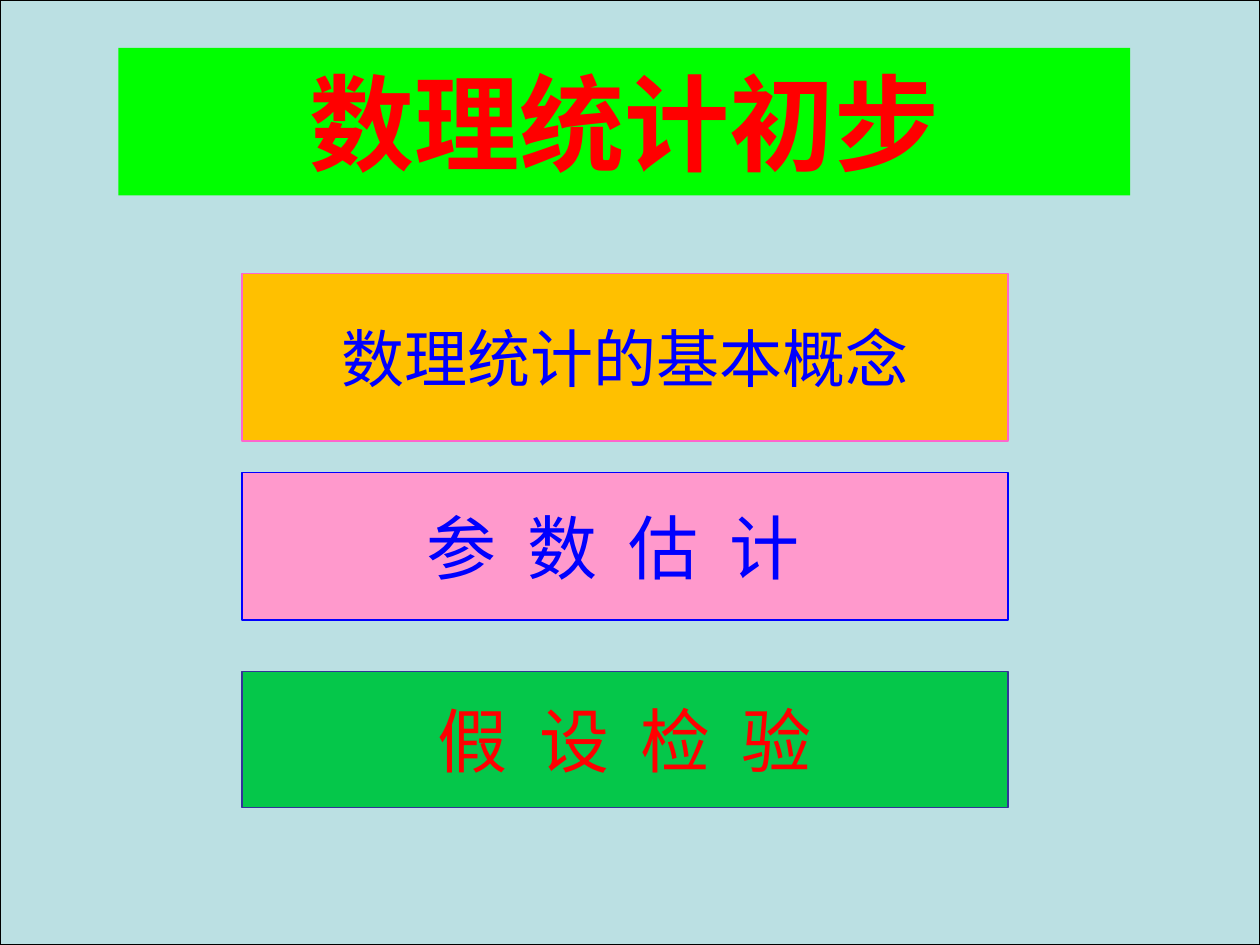
from pptx import Presentation
from pptx.dml.color import RGBColor
from pptx.enum import shapes, text
from pptx.oxml.ns import qn
from pptx.util import Inches, Pt
from lxml import etree


def paint(fmt, color):
    """Give a fill or a font one solid colour."""
    if hasattr(fmt, "solid"):
        fmt.solid()
        fmt.fore_color.rgb = RGBColor.from_string(color)
    else:
        fmt.color.rgb = RGBColor.from_string(color)


def write(shape, words, size, color, font, bold=False, wrap=True, gap=0):
    """Centre words in shape; gap is extra letter spacing in points."""
    frame = shape.text_frame
    frame.word_wrap = wrap
    frame.vertical_anchor = text.MSO_ANCHOR.MIDDLE
    para = frame.paragraphs[0]
    para.alignment = text.PP_ALIGN.CENTER
    run = para.add_run()
    run.text = words
    run.font.size, run.font.bold, run.font.name = Pt(size), bold, font
    paint(run.font, color)
    props = run.font._element
    if font != "Arial":
        etree.SubElement(props, qn("a:ea")).set("typeface", font)
    if gap:
        props.set("spc", str(int(gap * 100)))


deck = Presentation()
deck.slide_width, deck.slide_height = Inches(10), Inches(7.5)
slide = deck.slides.add_slide(deck.slide_layouts[5])

title = slide.shapes.title
title.left, title.top = Inches(0.94), Inches(0.38)
title.width, title.height = Inches(8.03), Inches(1.17)
paint(title.fill, "00FF00")
write(title, "数理统计初步", 60, "FF0000", "Arial", bold=True)

back = slide.shapes.add_shape(shapes.MSO_SHAPE.RECTANGLE, 0, 0,
                              deck.slide_width, deck.slide_height)
back.shadow.inherit = False
paint(back.fill, "BBE0E3")
paint(back.line.fill, "000000")
back.line.width = Pt(0.75)
title._element.addprevious(back._element)

# top, height, fill, line, words, size, text colour, letter gap
topics = [
    (2.17, 1.33, "FFC000", "FF66CC", "数理统计的基本概念", 36, "0000FF", 0),
    (3.75, 1.17, "FF99CC", "0000FF", "参 数 估 计 ", 40, "0000FF", 4.5),
    (5.33, 1.08, "05C74A", "333399", "假 设 检 验", 40, "FF0000", 4.5),
]
for top, height, fill, line, words, size, color, gap in topics:
    button = slide.shapes.add_shape(shapes.MSO_SHAPE.ACTION_BUTTON_CUSTOM,
                                    Inches(1.92), Inches(top),
                                    Inches(6.08), Inches(height))
    button.shadow.inherit = False
    paint(button.fill, fill)
    paint(button.line.fill, line)
    button.line.width = Pt(0.75)
    write(button, words, size, color, "Noto Sans CJK SC", wrap=False, gap=gap)

deck.save("out.pptx")
